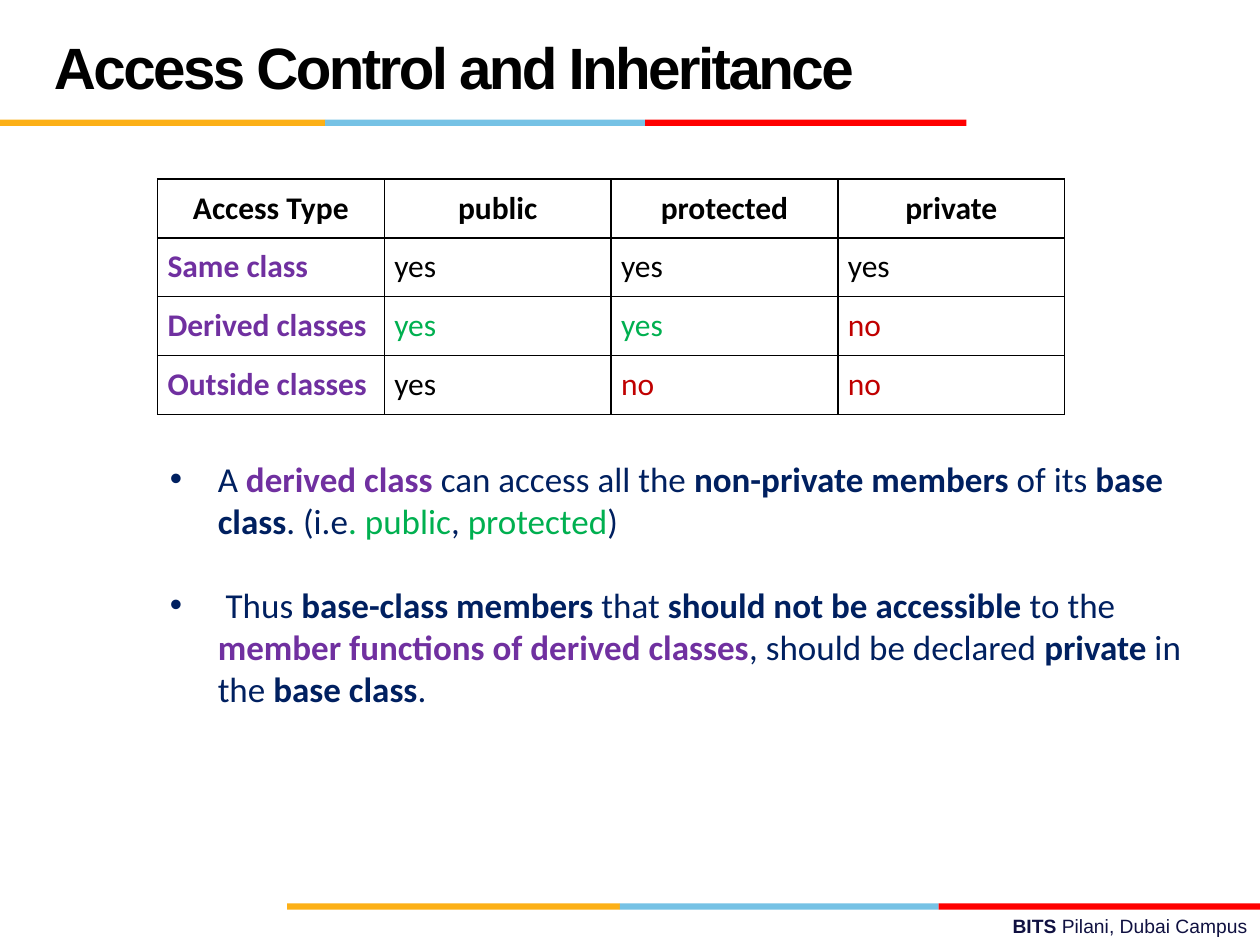
from lxml import etree
from pptx import Presentation
from pptx.dml.color import RGBColor
from pptx.enum import shapes, text
from pptx.oxml import ns
from pptx.util import Inches, Pt

COLORS = {
    "black": "000000", "navy": "002060", "footer": "101141",
    "purple": "7030A0", "green": "00B050", "crimson": "C00000",
    "amber": "FCB017", "sky": "76C2E5", "red": "FF0000",
}
ACCESS_ROWS = [
    ["Access Type", "public", "protected", "private"],
    ["Same class", "yes", "yes", "yes"],
    ["Derived classes", "yes", "yes", "no"],
    ["Outside classes", "yes", "no", "no"],
]
# Each run is (text, color, bold).
BULLETS = [
    [("A ", "navy", False), ("derived class ", "purple", True),
     ("can access all the ", "navy", False), ("non-private members ", "navy", True),
     ("of its ", "navy", False), ("base class", "navy", True),
     (". (i.e", "navy", False), (". public", "green", False),
     (", ", "navy", False), ("protected", "green", False), (")", "navy", False)],
    [(" Thus ", "navy", False), ("base-class members ", "navy", True),
     ("that ", "navy", False), ("should not be accessible ", "navy", True),
     ("to the ", "navy", False), ("member functions of derived classes", "purple", True),
     (", should be declared ", "navy", False), ("private", "navy", True),
     (" in the ", "navy", False), ("base class", "navy", True), (".", "navy", False)],
]


def rgb(name):
    return RGBColor.from_string(COLORS[name])


def set_font(font, name, size, color=None, bold=None):
    font.name, font.size, font.bold = name, Pt(size), bold
    if color:
        font.color.rgb = rgb(color)


def add_text_box(slide, left, top, width, height):
    box = slide.shapes.add_textbox(Inches(left), Inches(top), Inches(width), Inches(height))
    box.text_frame.word_wrap = True
    return box.text_frame


def add_runs(paragraph, runs):
    for words, color, bold in runs:
        run = paragraph.add_run()
        run.text = words
        run.font.bold = bold
        run.font.color.rgb = rgb(color)


def add_stripe(slide, left, top, height, widths):
    """Three coloured bars laid end to end."""
    for color, width in zip(("amber", "sky", "red"), widths):
        bar = slide.shapes.add_shape(shapes.MSO_SHAPE.RECTANGLE, Inches(left), Inches(top),
                                     Inches(width), Inches(height))
        bar.shadow.inherit = False
        bar.fill.solid()
        bar.fill.fore_color.rgb = rgb(color)
        bar.line.fill.background()
        left += width


def add_title(slide, left, top, width, height):
    frame = add_text_box(slide, left, top, width, height)
    frame.vertical_anchor = text.MSO_ANCHOR.MIDDLE
    paragraph = frame.paragraphs[0]
    paragraph.line_spacing = Pt(36)
    run = paragraph.add_run()
    run.text = "Access Control and Inheritance"
    set_font(run.font, "Arial", 33.3, "black", True)
    run.font._element.set("spc", "-150")


def add_borders(cell):
    properties = cell._tc.get_or_add_tcPr()
    for position, side in enumerate(("lnL", "lnR", "lnT", "lnB")):
        line = etree.Element(ns.qn("a:" + side), w=str(Pt(1)))
        fill = etree.SubElement(line, ns.qn("a:solidFill"))
        etree.SubElement(fill, ns.qn("a:srgbClr"), val=COLORS["black"])
        properties.insert(position, line)


def cell_color(row, column, word):
    if row == 0:
        return "black"
    if column == 0:
        return "purple"
    if word == "no":
        return "crimson"
    return "green" if ACCESS_ROWS[row][0] == "Derived classes" else "black"


def add_access_table(slide, left, top, width, height):
    table = slide.shapes.add_table(len(ACCESS_ROWS), len(ACCESS_ROWS[0]), Inches(left),
                                   Inches(top), Inches(width), Inches(height)).table
    table.horz_banding = False
    for row, words in enumerate(ACCESS_ROWS):
        for column, word in enumerate(words):
            cell = table.cell(row, column)
            cell.margin_left = cell.margin_right = Inches(0.08)
            cell.margin_top = cell.margin_bottom = Inches(0.08)
            cell.fill.background()
            add_borders(cell)
            cell.text = word
            paragraph = cell.text_frame.paragraphs[0]
            if row == 0:
                paragraph.alignment = text.PP_ALIGN.CENTER
            set_font(paragraph.font, "Calibri", 18, cell_color(row, column, word),
                     row == 0 or column == 0)


def add_bullets(slide, left, top, width, height):
    frame = add_text_box(slide, left, top, width, height)
    for index, runs in enumerate(BULLETS):
        paragraph = frame.add_paragraph() if index else frame.paragraphs[0]
        properties = paragraph._p.get_or_add_pPr()
        properties.set("marL", str(Inches(0.38)))
        properties.set("indent", str(-Inches(0.38)))
        color = etree.SubElement(properties, ns.qn("a:buClr"))
        etree.SubElement(color, ns.qn("a:srgbClr"), val=COLORS["navy"])
        etree.SubElement(properties, ns.qn("a:buFont"), typeface="Arial")
        etree.SubElement(properties, ns.qn("a:buChar"), char="•")
        if index:
            paragraph.space_before = Pt(24)
        set_font(paragraph.font, "Calibri", 20)
        add_runs(paragraph, runs)


def add_footer(slide, left, top, width, height):
    paragraph = add_text_box(slide, left, top, width, height).paragraphs[0]
    paragraph.alignment = text.PP_ALIGN.RIGHT
    set_font(paragraph.font, "Arial", 11)
    add_runs(paragraph, [("BITS ", "footer", True), ("Pilani, Dubai Campus", "footer", False)])


def main():
    presentation = Presentation()
    presentation.slide_width, presentation.slide_height = Inches(10), Inches(7.5)
    slide = presentation.slides.add_slide(presentation.slide_layouts[6])
    add_footer(slide, 3.58, 7.21, 6.42, 0.29)
    add_stripe(slide, 2.28, 7.17, 0.05, (2.64, 2.53, 2.55))
    add_stripe(slide, 0, 0.95, 0.05, (2.58, 2.54, 2.55))
    add_access_table(slide, 1.25, 1.42, 7.2, 1.87)
    add_title(slide, 0.33, 0.17, 6.92, 0.76)
    add_bullets(slide, 1.25, 3.58, 8.42, 2.12)
    presentation.save("out.pptx")


if __name__ == "__main__":
    main()
